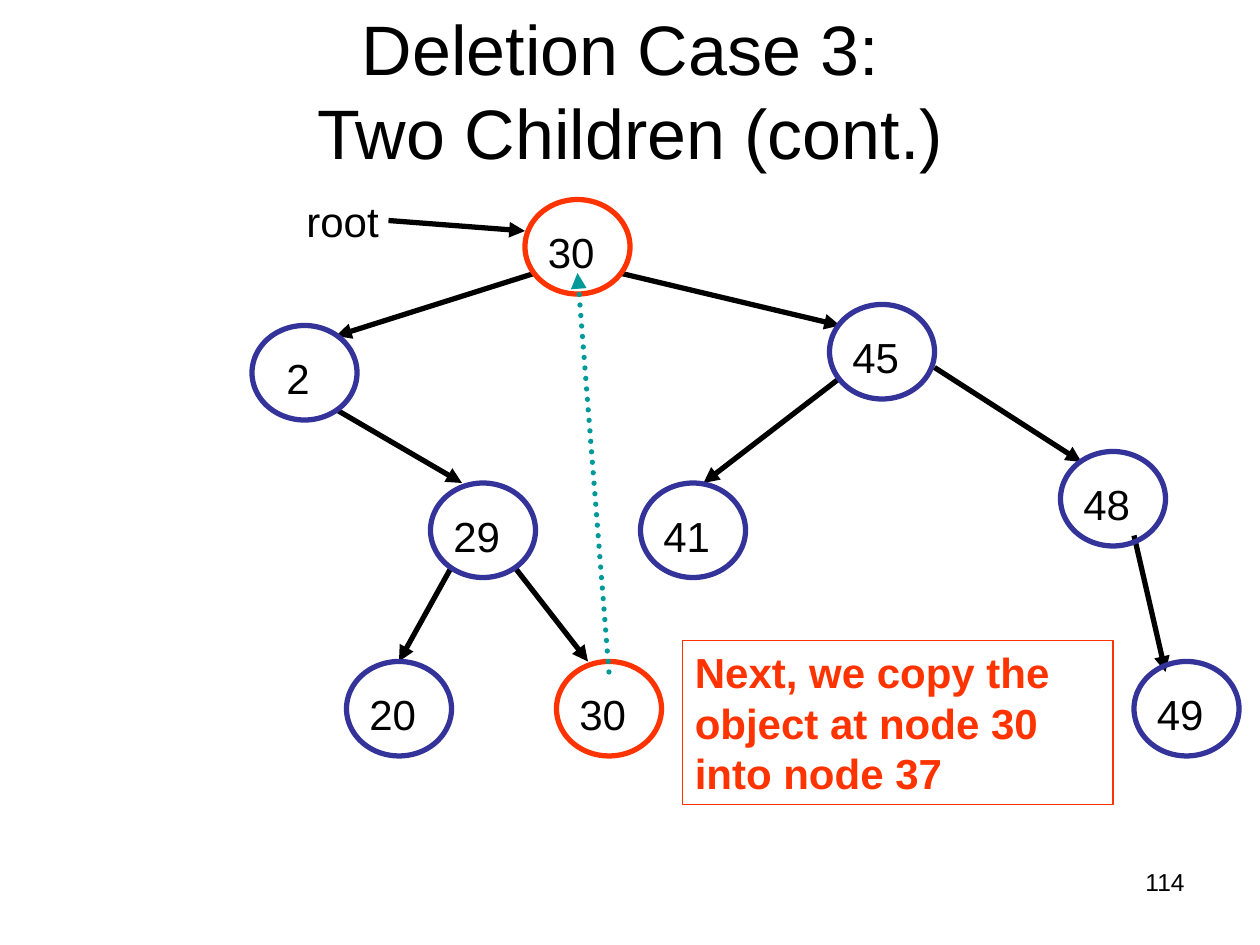
from lxml import etree
from pptx import Presentation
from pptx.dml.color import RGBColor
from pptx.enum.dml import MSO_LINE
from pptx.enum.shapes import MSO_CONNECTOR, MSO_SHAPE
from pptx.enum.text import MSO_ANCHOR, PP_ALIGN
from pptx.oxml.ns import qn
from pptx.util import Inches, Pt

STRAIGHT = MSO_CONNECTOR.STRAIGHT
OVAL, RECTANGLE = MSO_SHAPE.OVAL, MSO_SHAPE.RECTANGLE
ROUND_DOT = MSO_LINE.ROUND_DOT
TOP, MIDDLE = MSO_ANCHOR.TOP, MSO_ANCHOR.MIDDLE
LEFT, CENTER, RIGHT = PP_ALIGN.LEFT, PP_ALIGN.CENTER, PP_ALIGN.RIGHT

COLORS = {
    "text": "000000",
    "node": "333399",
    "highlight": "FF3300",
    "copy": "009999",
}
FONT = "Arial"
CELL = Inches(1) / 12
NODE_COLUMNS, NODE_ROWS = 10, 9

NODES = [
    ("30", 50, 19, "highlight", 0),
    ("2", 24, 31, "node", 1.1),
    ("45", 79, 29, "node", 0),
    ("48", 101, 43, "node", 0),
    ("41", 61, 46, "node", 0),
    ("29", 41, 46, "node", 0),
    ("20", 33, 63, "node", 0),
    ("30", 53, 63, "highlight", 0),
    ("49", 108, 63, "node", 0),
]
EDGES = [
    ((51, 26), (32, 32)),
    ((59, 26), (80, 31)),
    ((89, 35), (103, 44)),
    ((80, 36), (67, 46)),
    ((32, 39), (44, 46)),
    ((43, 54), (38, 63)),
    ((49, 54), (56, 63)),
    ((108, 51), (111, 64)),
]


def grid(*cells):
    return [round(cell * CELL) for cell in cells]


def color(name):
    return RGBColor.from_string(COLORS[name])


def write(shape, text, size=24, ink="text", bold=False, align=LEFT, anchor=TOP):
    frame = shape.text_frame
    frame.word_wrap = True
    frame.vertical_anchor = anchor
    paragraph = frame.paragraphs[0]
    paragraph.text = text
    paragraph.alignment = align
    for run in paragraph.runs:
        run.font.name = FONT
        run.font.size = Pt(size)
        run.font.bold = bold
        run.font.color.rgb = color(ink)


def add_label(slide, box, text, **style):
    write(slide.shapes.add_textbox(*grid(*box)), text, **style)


def add_outline(slide, kind, box, ink, width):
    shape = slide.shapes.add_shape(kind, *grid(*box))
    shape.shadow.inherit = False
    shape.fill.background()
    shape.line.color.rgb = color(ink)
    shape.line.width = Pt(width)
    return shape


def add_arrow(slide, start, end, ink="text", dotted=False):
    arrow = slide.shapes.add_connector(STRAIGHT, *grid(*start, *end))
    arrow.line.color.rgb = color(ink)
    arrow.line.width = Pt(3)
    line = arrow.line._get_or_add_ln()
    if dotted:
        arrow.line.dash_style = ROUND_DOT
        line.set("cap", "rnd")
    etree.SubElement(line, qn("a:tailEnd"), type="triangle")
    etree.SubElement(arrow._element.spPr, qn("a:effectLst"))


def add_title(slide, box, text):
    title = slide.shapes.title
    title.left, title.top, title.width, title.height = grid(*box)
    write(title, text, size=40, align=CENTER, anchor=MIDDLE)


def add_node(slide, column, row, key, ink, indent):
    add_outline(slide, OVAL, (column, row, NODE_COLUMNS, NODE_ROWS), ink, 3)
    add_label(slide, (column + 1 + indent, row + 2, 11, 6), key)


def add_tree(slide):
    add_label(slide, (28, 18, 22, 6), "root")
    add_arrow(slide, (37, 21), (50, 22))
    for start, end in EDGES:
        add_arrow(slide, start, end)
    for key, column, row, ink, indent in NODES:
        add_node(slide, column, row, key, ink, indent)


def add_callout(slide, box, text):
    callout = add_outline(slide, RECTANGLE, box, "highlight", 0.75)
    write(callout, text, ink="highlight", bold=True)


def main():
    presentation = Presentation()
    presentation.slide_width, presentation.slide_height = grid(120, 90)
    slide = presentation.slides.add_slide(presentation.slide_layouts[5])
    add_title(slide, (6, 1, 108, 15), "Deletion Case 3: \vTwo Children (cont.)")
    add_tree(slide)
    add_callout(slide, (65, 61, 41, 15.6), "Next, we copy the object at node 30 into node 37")
    add_arrow(slide, (58, 64), (55, 26), ink="copy", dotted=True)
    add_label(slide, (86, 82, 28, 6.25), "114", size=14, align=RIGHT)
    presentation.save("out.pptx")


if __name__ == "__main__":
    main()
